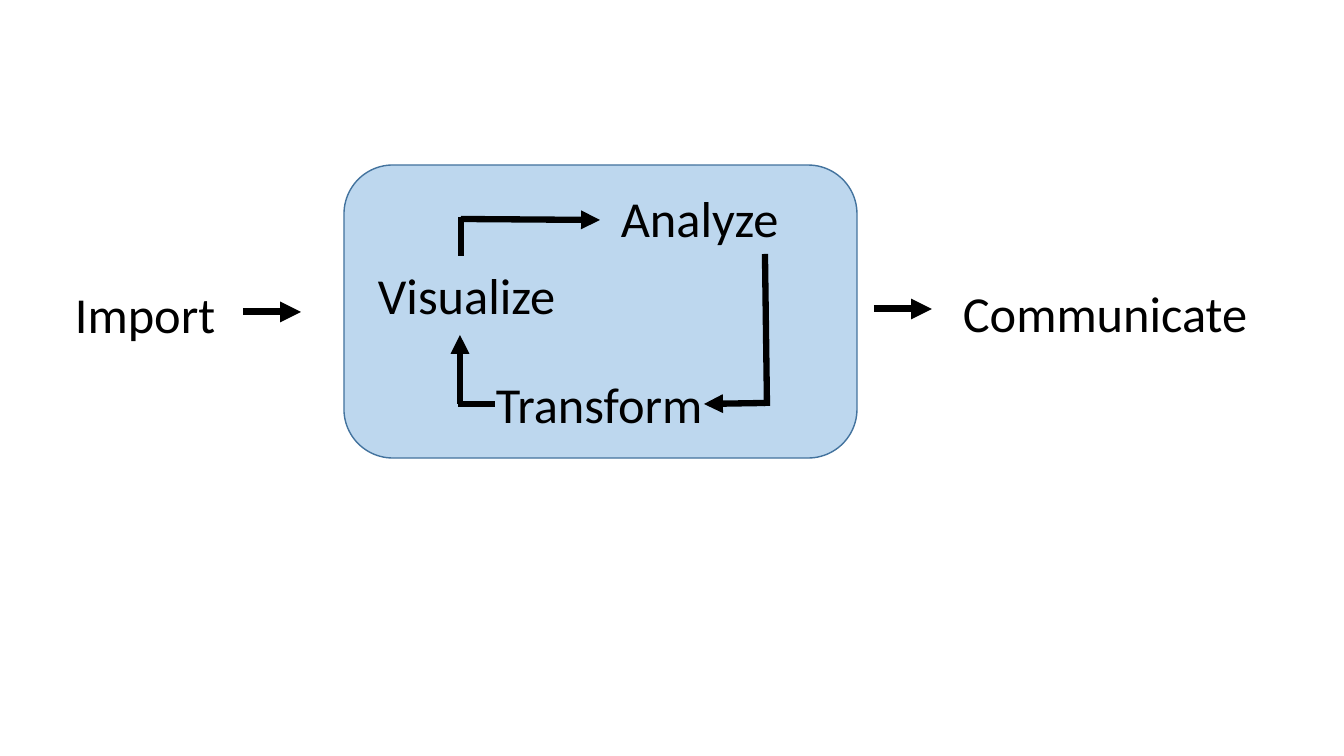
from lxml.etree import SubElement
from pptx import Presentation
from pptx.dml.color import RGBColor
from pptx.enum.shapes import MSO_CONNECTOR, MSO_SHAPE
from pptx.enum.text import MSO_AUTO_SIZE
from pptx.oxml.ns import qn
from pptx.util import Emu, Pt

BLACK = RGBColor(0x00, 0x00, 0x00)
PALE_BLUE = RGBColor(0xBD, 0xD7, 0xEE)
STEEL_BLUE = RGBColor(0x43, 0x73, 0x9E)
EMU_PER_PX = 914400 / 100.8


def px(length):
    return Emu(round(length * EMU_PER_PX))


def apply_format(target, values):
    for name, value in values.items():
        setattr(target, name, value)


class WorkflowSlide:
    label_font = {"name": "Calibri", "size": Pt(36)}
    label_frame = {"word_wrap": True, "auto_size": MSO_AUTO_SIZE.SHAPE_TO_FIT_TEXT}
    label_height = 72

    def __init__(self, presentation):
        self.shapes = presentation.slides.add_slide(presentation.slide_layouts[6]).shapes

    def panel(self, left, top, width, height):
        panel = self.shapes.add_shape(
            MSO_SHAPE.ROUNDED_RECTANGLE, *map(px, (left, top, width, height)))
        panel.shadow.inherit = False
        panel.fill.solid()
        panel.fill.fore_color.rgb = PALE_BLUE
        panel.line.color.rgb = STEEL_BLUE
        panel.line.width = Pt(1)

    def label(self, wording, left, top, width):
        label = self.shapes.add_textbox(*map(px, (left, top, width, self.label_height)))
        apply_format(label.text_frame, self.label_frame)
        step = label.text_frame.paragraphs[0].add_run()
        step.text = wording
        apply_format(step.font, self.label_font)
        step.font.color.rgb = BLACK

    def line(self, start, end, weight=4.5, arrow=False):
        line = self.shapes.add_connector(MSO_CONNECTOR.STRAIGHT, *map(px, start + end))
        line.line.color.rgb = BLACK
        line.line.width = Pt(weight)
        if arrow:
            SubElement(line.line._get_or_add_ln(), qn("a:tailEnd"), type="triangle")
        SubElement(line._element.spPr, qn("a:effectLst"))


def main():
    presentation = Presentation()
    apply_format(presentation, {"slide_width": px(1344), "slide_height": px(756)})
    workflow = WorkflowSlide(presentation)
    workflow.panel(344, 165, 513, 293)

    for step in (
        ("Import", 65, 278, 177),
        ("Communicate", 953, 277, 327),
        ("Visualize", 368, 259, 211),
        ("Transform", 486, 368, 233),
        ("Analyze", 611, 182, 185),
    ):
        workflow.label(*step)

    for start, end in (
        ((765, 403), (704, 404)),
        ((460, 404), (460, 335)),
        ((461, 219), (600, 220)),
    ):
        workflow.line(start, end, arrow=True)

    for start, end in (
        ((767, 406), (765, 254)),
        ((461, 256), (461, 217)),
        ((458, 404), (495, 404)),
    ):
        workflow.line(start, end)

    for left, level in ((243, 312), (874, 309)):
        workflow.line((left, level), (left + 58, level), weight=5, arrow=True)

    presentation.save("out.pptx")


if __name__ == "__main__":
    main()
